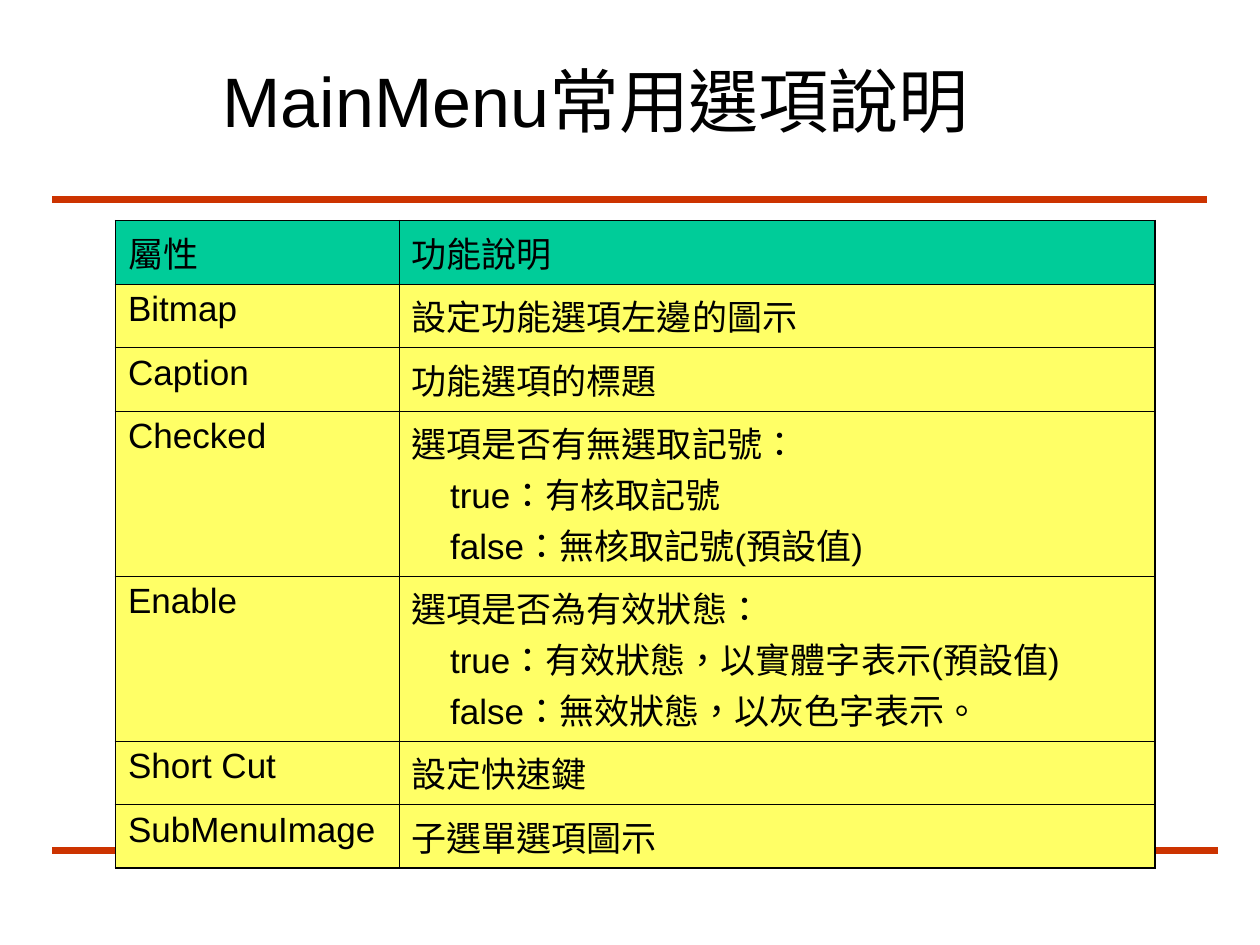
"""Build the slide that explains the common MainMenu options."""
from lxml.etree import SubElement
from pptx import Presentation
from pptx.dml.color import RGBColor
from pptx.enum.shapes import MSO_CONNECTOR
from pptx.enum.text import MSO_ANCHOR, MSO_AUTO_SIZE, PP_ALIGN
from pptx.oxml.ns import qn
from pptx.util import Pt

BLACK = RGBColor(0x00, 0x00, 0x00)
RED = RGBColor(0xCC, 0x33, 0x00)
GREEN = RGBColor(0x00, 0xCC, 0x99)
YELLOW = RGBColor(0xFF, 0xFF, 0x66)

ROWS = [
    ("屬性", ["功能說明"]),
    ("Bitmap", ["設定功能選項左邊的圖示"]),
    ("Caption", ["功能選項的標題"]),
    ("Checked", ["選項是否有無選取記號：", "true：有核取記號", "false：無核取記號(預設值)"]),
    ("Enable", ["選項是否為有效狀態：", "true：有效狀態，以實體字表示(預設值)", "false：無效狀態，以灰色字表示。"]),
    ("Short Cut", ["設定快速鍵"]),
    ("SubMenuImage", ["子選單選項圖示"]),
]


def add_run(p, text, size):
    r = p.add_run()
    r.text = text
    r.font.size = Pt(size)
    r.font.name = "Arial"
    r.font.color.rgb = BLACK
    r._r.get_or_add_rPr().set("lang", "zh-TW")


def add_border(cell, side, width):
    ln = SubElement(cell._tc.get_or_add_tcPr(), qn(f"a:ln{side}"), w=str(Pt(width)))
    fill = SubElement(ln, qn("a:solidFill"))
    SubElement(fill, qn("a:srgbClr"), val=str(BLACK))


prs = Presentation()
prs.slide_width, prs.slide_height = Pt(720), Pt(540)
s = prs.slides.add_slide(prs.slide_layouts[5])

for y, right in ((114, 690), (486, 696)):
    rule = s.shapes.add_connector(MSO_CONNECTOR.STRAIGHT, Pt(30), Pt(y), Pt(right), Pt(y))
    rule.line.color.rgb = RED
    rule.line.width = Pt(4.5)
    SubElement(rule._element.spPr, qn("a:effectLst"))

title = s.shapes.title
title.left, title.top, title.width, title.height = Pt(120), Pt(24), Pt(546), Pt(66)
tf = title.text_frame
tf.auto_size = MSO_AUTO_SIZE.NONE
tf.vertical_anchor = MSO_ANCHOR.MIDDLE
tf.paragraphs[0].alignment = PP_ALIGN.LEFT
add_run(tf.paragraphs[0], "MainMenu常用選項說明", 40)

frame = s.shapes.add_table(len(ROWS), 2, Pt(66), Pt(126), Pt(594), Pt(348))
table = frame.table
table.first_row = table.horz_banding = False
table.columns[0].width, table.columns[1].width = Pt(162), Pt(432)

last = len(ROWS) - 1
for i, (name, lines) in enumerate(ROWS):
    table.rows[i].height = Pt(84 if len(lines) > 1 else 36)
    for j, texts in enumerate(([name], lines)):
        cell = table.cell(i, j)
        outer = {"L": j == 0, "R": j == 1, "T": i == 0, "B": i == last}
        for side, is_outer in outer.items():
            add_border(cell, side, 0.96 if is_outer else 0.34)
        cell.fill.solid()
        cell.fill.fore_color.rgb = YELLOW if i else GREEN
        tf = cell.text_frame
        for k, text in enumerate(texts):
            p = tf.add_paragraph() if k else tf.paragraphs[0]
            pPr = p._p.get_or_add_pPr()
            pPr.set("marL", str(Pt(22 if k else 27)))
            pPr.set("indent", str(Pt(0 if k else -27)))
            add_run(p, text, 20)

prs.save("out.pptx")
